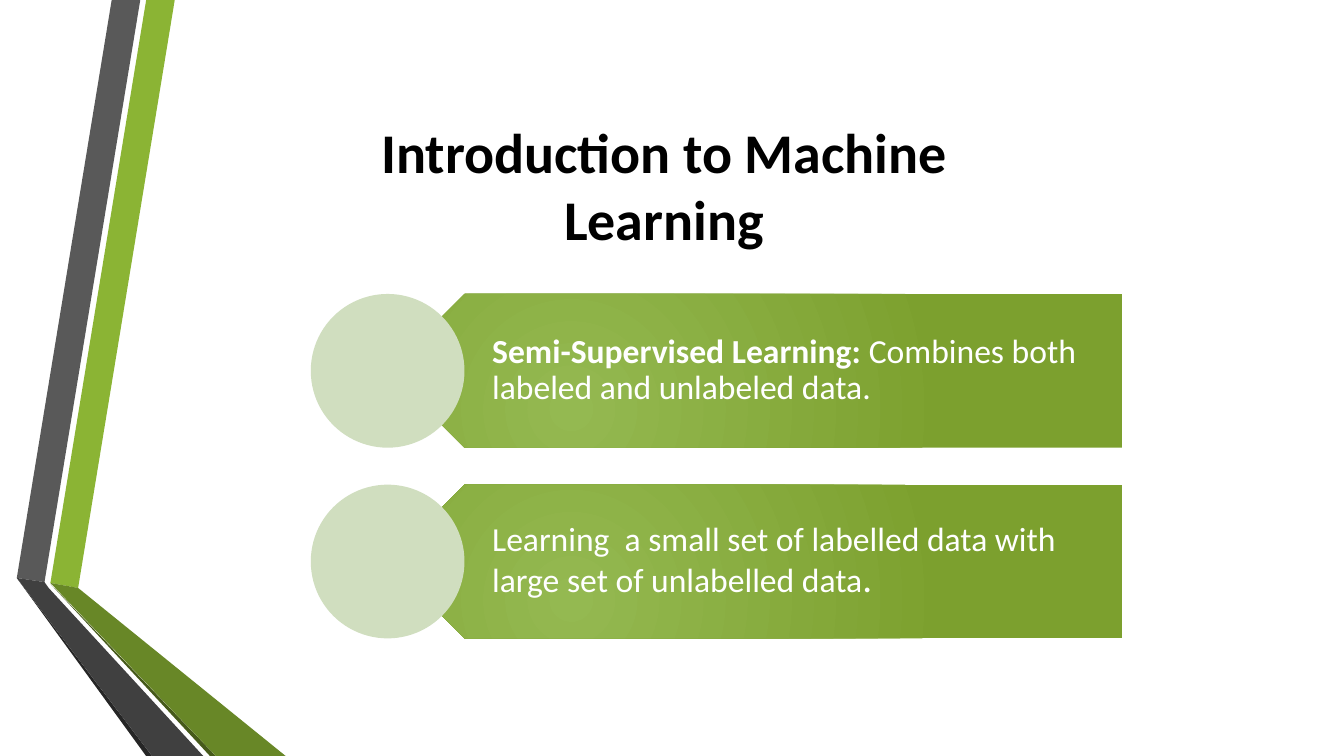
from dataclasses import dataclass

import lxml.etree
import pptx
import pptx.dml.color
import pptx.enum.shapes
import pptx.enum.text
import pptx.oxml
import pptx.oxml.ns
import pptx.util

SLIDE_WIDTH = pptx.util.Inches(13.333)
SLIDE_HEIGHT = pptx.util.Inches(7.5)
COLUMN = SLIDE_WIDTH / 16
ROW = SLIDE_HEIGHT / 9

CARD_TOP, CARD_PITCH, CARD_HEIGHT = 3.5, 2.27, 1.83
CIRCLE_LEFT, CARD_RIGHT, TEXT_LEFT = 3.7, 13.36, 5.06
WHITE, BLACK = "FFFFFF", "000000"
CIRCLE_COLOR = "D0DEBF"
ARROW_COLORS = ("94B951", "7CA02E")


@dataclass
class Ribbon:
    color: str
    points: list[tuple[float, float]]


@dataclass
class Run:
    text: str
    size: int = 24
    bold: bool = False


RIBBONS = [
    Ribbon("8BB434", [(0.6, 6.94), (0.93, 7), (2.08, 0), (1.74, 0)]),
    Ribbon("595959", [(1.67, 0), (1.33, 0), (0.2, 6.88), (0.53, 6.93)]),
    Ribbon("262626", [(0.2, 6.88), (1.74, 9), (1.81, 9)]),
    Ribbon("465A1A", [(0.6, 6.95), (2.5, 9), (2.57, 9)]),
    Ribbon("688727", [(0.6, 6.94), (2.57, 9), (3.4, 9), (0.93, 7)]),
    Ribbon("404040", [(0.2, 6.88), (1.81, 9), (2.42, 9), (0.58, 7), (0.53, 6.93)]),
]

CARDS = [
    [
        Run("Semi-Supervised Learning:", bold=True),
        Run(" Combines both labeled and unlabeled data."),
    ],
    [
        Run("Learning  a small set of labelled data with large set of unlabelled data"),
        Run(".", size=28),
    ],
]


def rgb(color: str) -> pptx.dml.color.RGBColor:
    return pptx.dml.color.RGBColor.from_string(color)


def set_attributes(target, values: dict) -> None:
    for name, value in values.items():
        setattr(target, name, value)


def grid_box(left: float, top: float, width: float, height: float) -> tuple:
    """Turn columns and rows into slide lengths."""
    return tuple(
        round(length)
        for length in (left * COLUMN, top * ROW, width * COLUMN, height * ROW)
    )


def fill_plain(shape, color: str) -> None:
    shape.shadow.inherit = False
    shape.line.fill.background()
    shape.fill.solid()
    shape.fill.fore_color.rgb = rgb(color)


def fill_radial(shape, colors: tuple[str, str]) -> None:
    shape.shadow.inherit = False
    shape.line.fill.background()
    shape.fill.gradient()
    for stop, color in zip(shape.fill.gradient_stops, colors):
        stop.color.rgb = rgb(color)
    gradient = shape.element.spPr.find(pptx.oxml.ns.qn("a:gradFill"))
    gradient.remove(gradient.find(pptx.oxml.ns.qn("a:lin")))
    circle = lxml.etree.SubElement(gradient, pptx.oxml.ns.qn("a:path"), path="circle")
    lxml.etree.SubElement(
        circle, pptx.oxml.ns.qn("a:fillToRect"),
        l="50000", t="100000", r="100000", b="50000",
    )


def add_run(paragraph, content: Run, color: str):
    run = paragraph.add_run()
    run.text = content.text
    set_attributes(run.font, {
        "name": "Calibri",
        "size": pptx.util.Pt(content.size),
        "bold": content.bold,
    })
    run.font.color.rgb = rgb(color)
    return run


def add_text_shadow(run) -> None:
    effects = pptx.oxml.parse_xml(
        f'<a:effectLst {pptx.oxml.ns.nsdecls("a")}>'
        '<a:outerShdw blurRad="38100" dist="38100" dir="2700000" algn="tl">'
        '<a:srgbClr val="000000"><a:alpha val="43000"/></a:srgbClr>'
        "</a:outerShdw></a:effectLst>"
    )
    fill = run.font._element.find(pptx.oxml.ns.qn("a:solidFill"))
    fill.addnext(effects)


def add_ribbon(slide, ribbon: Ribbon) -> None:
    points = [(x * COLUMN, y * ROW) for x, y in ribbon.points]
    builder = slide.shapes.build_freeform(*points[0])
    builder.add_line_segments(points[1:], close=True)
    fill_plain(builder.convert_to_shape(), ribbon.color)


def add_title(slide) -> None:
    title = slide.shapes.title
    left, top, width, height = grid_box(3.58, 1.25, 8.65, 1.9)
    set_attributes(title, {"left": left, "top": top, "width": width, "height": height})
    set_attributes(title.text_frame, {
        "word_wrap": True,
        "auto_size": pptx.enum.text.MSO_AUTO_SIZE.NONE,
        "vertical_anchor": pptx.enum.text.MSO_ANCHOR.MIDDLE,
    })
    paragraph = title.text_frame.paragraphs[0]
    paragraph.alignment = pptx.enum.text.PP_ALIGN.CENTER
    content = Run("Introduction to Machine Learning", size=40, bold=True)
    add_text_shadow(add_run(paragraph, content, BLACK))


def add_card(slide, top: float, runs: list[Run]) -> None:
    """Draw a left-pointing arrow with its text and a circle over its tip."""
    shape_types = pptx.enum.shapes.MSO_SHAPE
    arrow_left = CIRCLE_LEFT + CARD_HEIGHT / 2
    arrow = slide.shapes.add_shape(
        shape_types.PENTAGON,
        *grid_box(arrow_left, top, CARD_RIGHT - arrow_left, CARD_HEIGHT),
    )
    arrow.rotation = 180
    fill_radial(arrow, ARROW_COLORS)

    text_box = slide.shapes.add_textbox(
        *grid_box(TEXT_LEFT, top, CARD_RIGHT - TEXT_LEFT, CARD_HEIGHT)
    )
    set_attributes(text_box.text_frame, {
        "word_wrap": True,
        "vertical_anchor": pptx.enum.text.MSO_ANCHOR.MIDDLE,
        "margin_left": round(0.8 * COLUMN),
        "margin_right": round(0.23 * COLUMN),
        "margin_top": round(0.12 * ROW),
        "margin_bottom": round(0.12 * ROW),
    })
    paragraph = text_box.text_frame.paragraphs[0]
    paragraph.line_spacing = 0.9
    for content in runs:
        add_run(paragraph, content, WHITE)

    circle = slide.shapes.add_shape(
        shape_types.OVAL, *grid_box(CIRCLE_LEFT, top, CARD_HEIGHT, CARD_HEIGHT)
    )
    fill_plain(circle, CIRCLE_COLOR)


def main() -> None:
    presentation = pptx.Presentation()
    set_attributes(presentation, {
        "slide_width": SLIDE_WIDTH,
        "slide_height": SLIDE_HEIGHT,
    })
    slide = presentation.slides.add_slide(
        presentation.slide_layouts.get_by_name("Title Only")
    )
    for ribbon in RIBBONS:
        add_ribbon(slide, ribbon)
    add_title(slide)
    for index, runs in enumerate(CARDS):
        add_card(slide, CARD_TOP + index * CARD_PITCH, runs)
    presentation.save("out.pptx")


if __name__ == "__main__":
    main()
